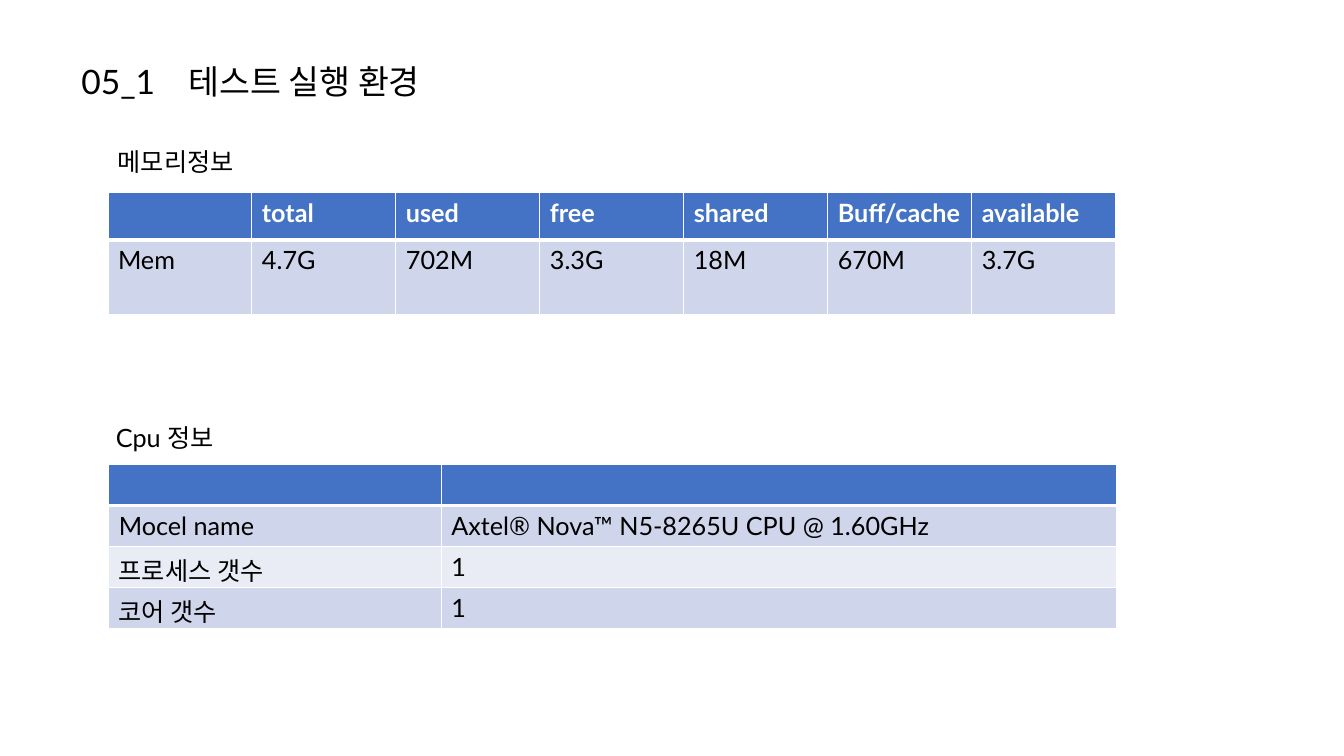
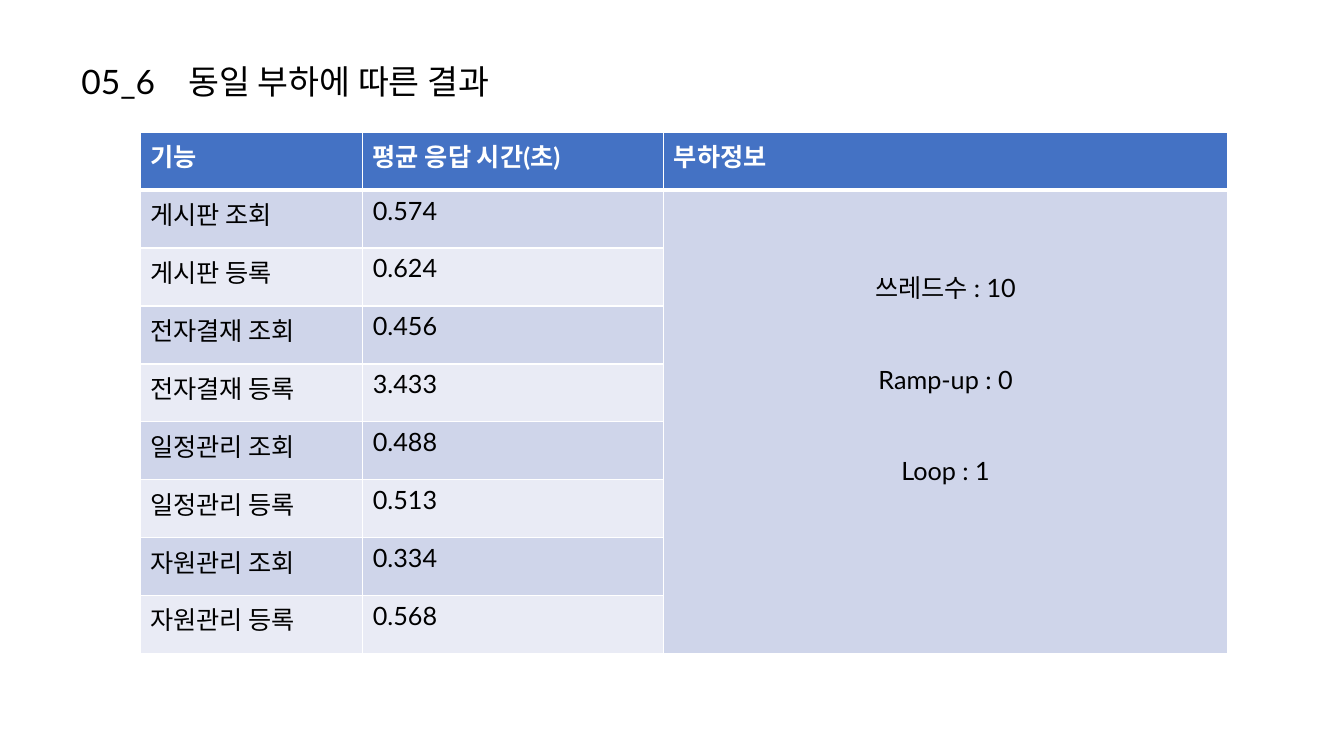
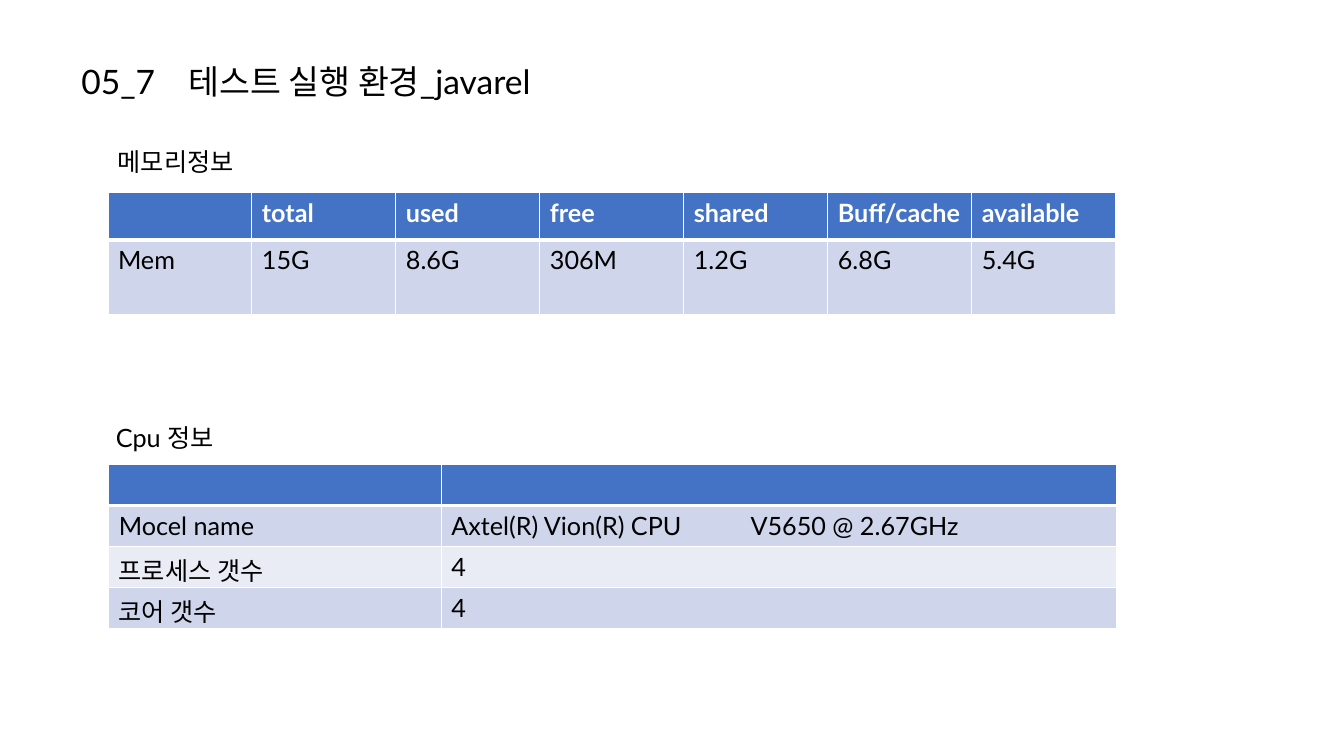
import pptx
import pptx.util
import pptx.dml.color
import pptx.enum.text
import pptx.oxml
import pptx.oxml.ns
from pptx.util import Cm

COLORS = {"header": "4472C4", "band": "CFD5EA", "light": "E9EBF5",
          "line": "FFFFFF", "text": "000000"}
FONT = "Lato"
TITLE_TAB = 2.7


def rgb(name):
    return pptx.dml.color.RGBColor.from_string(COLORS[name])


def add_text(tf, text, size=18, color="text", bold=False, center=False, spacing=None, tab=None):
    """Fill a text frame, one paragraph for each line of text."""
    for i, line in enumerate(text.split("\n")):
        p = tf.paragraphs[0] if i == 0 else tf.add_paragraph()
        if center:
            p.alignment = pptx.enum.text.PP_ALIGN.CENTER
        if spacing:
            p.line_spacing = spacing
        if tab:
            p._p.get_or_add_pPr().append(pptx.oxml.parse_xml(
                f'<a:tabLst {pptx.oxml.ns.nsdecls("a")}><a:tab pos="{Cm(tab)}" algn="l"/></a:tabLst>'))
        r = p.add_run()
        r.text = line
        r.font.name = FONT
        r.font.size = pptx.util.Pt(size)
        r.font.bold = bold
        r.font.color.rgb = rgb(color)


def add_label(s, text, left, top, width, height, **fmt):
    tf = s.shapes.add_textbox(Cm(left), Cm(top), Cm(width), Cm(height)).text_frame
    tf.word_wrap = True
    tf.auto_size = pptx.enum.text.MSO_AUTO_SIZE.SHAPE_TO_FIT_TEXT
    add_text(tf, text, **fmt)


def set_borders(cell, top, bottom):
    tc_pr = cell._tc.get_or_add_tcPr()
    sides = {"L": 1, "R": 1, "T": top, "B": bottom}
    for i, (side, width) in enumerate(sides.items()):
        tc_pr.insert(i, pptx.oxml.parse_xml(
            f'<a:ln{side} {pptx.oxml.ns.nsdecls("a")} w="{pptx.util.Pt(width)}"><a:solidFill>'
            f'<a:srgbClr val="{COLORS["line"]}"/></a:solidFill></a:ln{side}>'))


def add_grid(s, left, top, widths, heights, rows, tab=None):
    """Table with a header row, banded body and a thick rule under the header."""
    table = s.shapes.add_table(len(rows), len(widths), Cm(left), Cm(top),
                               Cm(sum(widths)), Cm(sum(heights))).table
    for column, width in zip(table.columns, widths):
        column.width = Cm(width)
    for i, (row, values) in enumerate(zip(table.rows, rows)):
        row.height = Cm(heights[i])
        fill = "header" if i == 0 else "band" if i % 2 else "light"
        for cell, value in zip(row.cells, values):
            cell.fill.solid()
            cell.fill.fore_color.rgb = rgb(fill)
            set_borders(cell, top=3 if i == 1 else 1, bottom=3 if i == 0 else 1)
            if value:
                add_text(cell.text_frame, value, bold=i == 0,
                         color="line" if i == 0 else "text",
                         tab=tab if "\t" in value else None)
    return table


def new_slide(prs, number, title):
    s = prs.slides.add_slide(prs.slide_layouts[6])
    add_label(s, f"{number}\t{title}", 1.8, 1.42, 16.51, 1.27, size=24, tab=TITLE_TAB)
    return s


def memory_region(s, left, top, values):
    add_label(s, "메모리정보", left, top, 13.82, 1.02)
    header = ["", "total", "used", "free", "shared", "Buff/cache", "available"]
    add_grid(s, left, top + 1.29, [25.4 / 7] * 7, [1.19, 1.88], [header, ["Mem"] + values])


def cpu_region(s, left, top, model, processes, cores):
    add_label(s, "Cpu 정보", left, top, 13.82, 1.02)
    rows = [["", ""], ["Mocel name", model], ["프로세스 갯수", processes], ["코어 갯수", cores]]
    add_grid(s, left + 0.07, top + 1.19, [8.38, 17.02], [1.03] * 4, rows, tab=7.54)


def environment_slide(prs, number, title, memory, cpu):
    s = new_slide(prs, number, title)
    memory_region(s, 2.72, 3.56, memory)
    cpu_region(s, 2.67, 10.52, *cpu)


def load_slide(prs, number, title, times, load):
    s = new_slide(prs, number, title)
    rows = [["기능", "평균 응답 시간(초)", "부하정보"]]
    rows += [[feature, seconds, ""] for feature, seconds in times]
    table = add_grid(s, 3.53, 3.33, [5.61, 7.59, 14.2], [1.46] * len(rows), rows)
    # Load settings span the whole body
    settings = table.cell(1, 2)
    settings.merge(table.cell(len(times), 2))
    add_text(settings.text_frame, load, center=True, spacing=3.0)


def main():
    prs = pptx.Presentation()
    prs.slide_width, prs.slide_height = Cm(33.87), Cm(19.05)

    environment_slide(prs, "05_1", "테스트 실행 환경",
                      ["4.7G", "702M", "3.3G", "18M", "670M", "3.7G"],
                      ["Axtel® Nova™ N5-8265U CPU @ 1.60GHz", "1", "1"])
    load_slide(prs, "05_6", "동일 부하에 따른 결과",
               [("게시판 조회", "0.574"), ("게시판 등록", "0.624"),
                ("전자결재 조회", "0.456"), ("전자결재 등록", "3.433"),
                ("일정관리 조회", "0.488"), ("일정관리 등록", "0.513"),
                ("자원관리 조회", "0.334"), ("자원관리 등록", "0.568")],
               "쓰레드수 : 10\nRamp-up : 0\nLoop : 1")
    environment_slide(prs, "05_7", "테스트 실행 환경_javarel",
                      ["15G", "8.6G", "306M", "1.2G", "6.8G", "5.4G"],
                      ["Axtel(R) Vion(R) CPU\tV5650 @ 2.67GHz", "4", "4"])
    prs.save("out.pptx")


if __name__ == "__main__":
    main()
